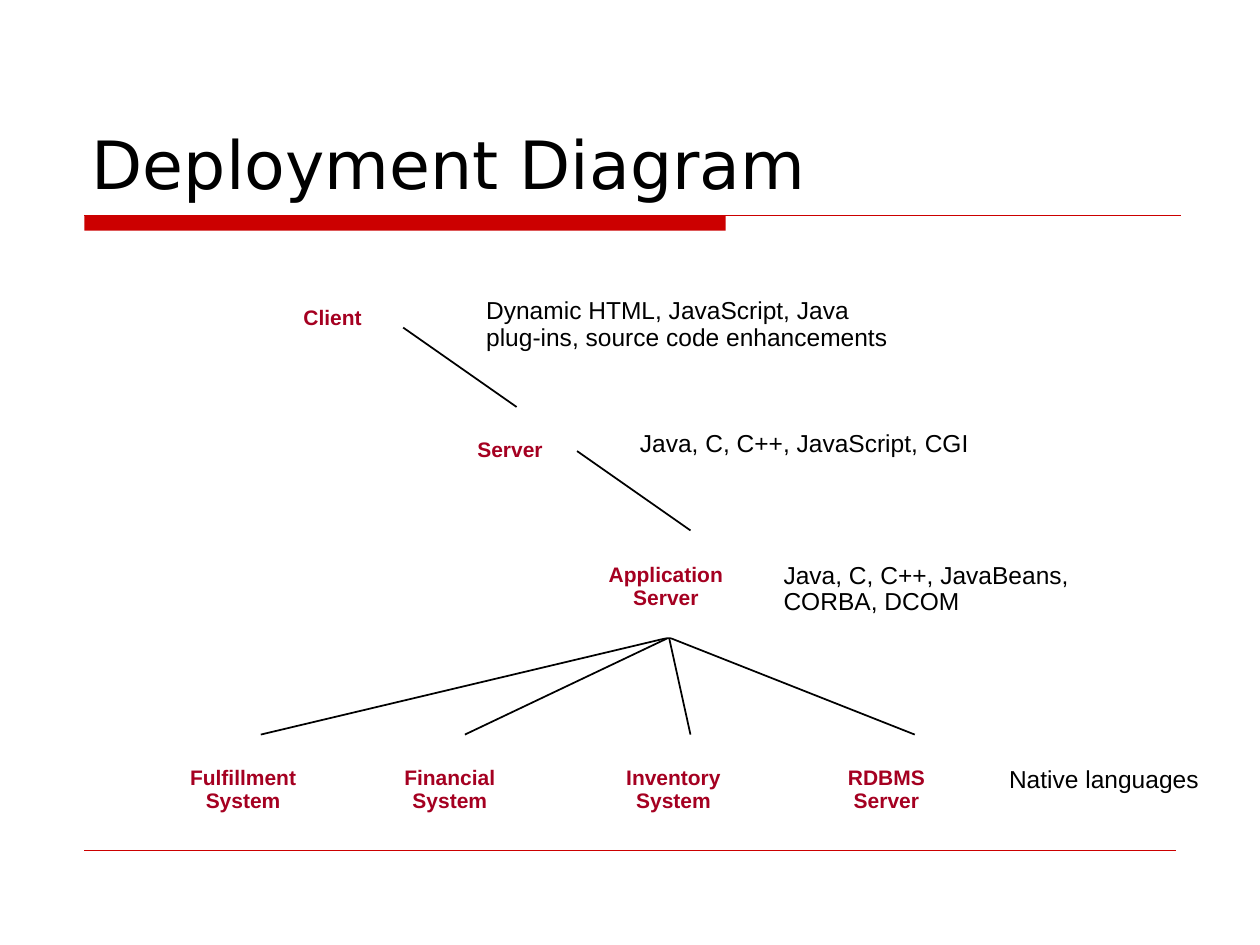
from pptx import Presentation
from pptx.dml.color import RGBColor as RGB
from pptx.enum.shapes import MSO_CONNECTOR as LINK, MSO_SHAPE as SHAPE
from pptx.enum.text import MSO_ANCHOR as ANCHOR, MSO_AUTO_SIZE as FIT, PP_ALIGN as ALIGN
from pptx.oxml.ns import qn
from pptx.util import Inches, Pt

HUES = {"red": "CC0000", "wine": "A50021", "ink": "000000", "paper": "FFFFFF"}
STYLES = {
    "title": {"size": Pt(38), "name": "DejaVu Sans", "bold": False},
    "node": {"size": Pt(12), "name": "Arial", "bold": True},
    "note": {"size": Pt(14), "name": "Arial", "bold": False},
}
CARD_W, CARD_H, ROW_Y = 0.97, 0.77, 5.9

# Node: card left, card top, label shift from the card, label width, lines
NODES = [
    (2.15, 2.25, 0.16, 0.66, ["Client"]),
    (3.53, 3.3, 0.16, 0.72, ["Server"]),
    (4.83, 4.29, -0.1, 1.11, ["Application", "Server"]),
    (1.42, ROW_Y, -0.01, 1.04, ["Fulfillment", "System"]),
    (3.12, ROW_Y, -0.01, 0.92, ["Financial", "System"]),
    (4.91, ROW_Y, -0.04, 0.95, ["Inventory", "System"]),
    (6.61, ROW_Y, 0.02, 0.81, ["RDBMS", "Server"]),
]
# Note: left, top, width, lines
NOTES = [
    (3.76, 2.32, 3.39, ["Dynamic HTML, JavaScript, Java", "plug-ins, source code enhancements"]),
    (4.98, 3.37, 2.81, ["Java, C, C++, JavaScript, CGI"]),
    (6.12, 4.42, 2.52, ["Java, C, C++, JavaBeans,", "CORBA, DCOM"]),
    (7.91, 6.04, 1.71, ["Native languages"]),
]
HUB = (3.16, 2.81)
LEAVES = [-0.08, 1.54, 3.33, 5.11]


def add_line(slide, start, end, hue, width):
    points = [Inches(v) for v in (*start, *end)]
    line = slide.shapes.add_connector(LINK.STRAIGHT, *points)
    line.line.color.rgb = RGB.from_string(HUES[hue])
    line.line.width = Pt(width)
    props = line._element.spPr
    props.append(props.makeelement(qn("a:effectLst"), {}))


def add_rect(slide, x, y, w, h, hue):
    rect = slide.shapes.add_shape(SHAPE.RECTANGLE, *map(Inches, (x, y, w, h)))
    rect.shadow.inherit = False
    rect.fill.solid()
    rect.fill.fore_color.rgb = RGB.from_string(HUES[hue])
    rect.line.fill.background()


def add_text(slide, box, lines, style, hue, align=ALIGN.LEFT, pitch=0.9):
    frame = slide.shapes.add_textbox(*map(Inches, box)).text_frame
    frame.word_wrap = False
    frame.auto_size = FIT.SHAPE_TO_FIT_TEXT
    frame.text = "\n".join(lines)
    for para in frame.paragraphs:
        para.alignment = align
        para.line_spacing = pitch
        for key, value in STYLES[style].items():
            setattr(para.font, key, value)
        para.font.color.rgb = RGB.from_string(HUES[hue])
    return frame


def add_head(slide, x, y, w, h):
    # Title above a thick and thin red rule
    frame = add_text(slide, (x, y, w, h), ["Deployment Diagram"], "title", "ink", pitch=1.0)
    frame.auto_size = FIT.NONE
    frame.word_wrap = True
    frame.vertical_anchor = ANCHOR.BOTTOM
    left, top = x + 0.04, y + h + 0.05
    add_rect(slide, left, top, 5.09, 0.12, "red")
    add_line(slide, (left, top), (left + 8.7, top), "red", 0.75)


def add_foot(slide, x, y, w):
    add_line(slide, (x, y), (x + w, y), "red", 0.25)


def add_node(slide, x, y, shift, width, lines):
    add_rect(slide, x, y, CARD_W, CARD_H, "paper")
    align = ALIGN.CENTER if len(lines) > 1 else ALIGN.LEFT
    box = (x + shift, y + 0.14, width, 0.1 + 0.18 * len(lines))
    add_text(slide, box, lines, "node", "wine", align)


def add_tree(slide, x, y):
    # Links from tier to tier
    for dx, dy in ((1.05, 0.35), (2.43, 1.33)):
        add_line(slide, (x + dx, y + dy), (x + dx + 0.9, y + dy + 0.63), "ink", 1)
    # Fan from the application server
    for leaf in LEAVES:
        add_line(slide, (x + leaf, y + 3.58), (x + HUB[0], y + HUB[1]), "ink", 1)
    # Nodes and the languages they use
    for left, top, *rest in NODES:
        add_node(slide, x + left - 2.15, y + top - 2.25, *rest)
    for left, top, width, lines in NOTES:
        box = (x + left - 2.15, y + top - 2.25, width, 0.1 + 0.21 * len(lines))
        add_text(slide, box, lines, "note", "ink")


def main():
    deck = Presentation()
    deck.slide_width, deck.slide_height = Inches(10), Inches(7.5)
    slide = deck.slides.add_slide(deck.slide_layouts[6])
    add_head(slide, 0.63, 0.33, 8.75, 1.33)
    add_foot(slide, 0.67, 6.75, 8.66)
    add_tree(slide, 2.15, 2.25)
    deck.save("out.pptx")


if __name__ == "__main__":
    main()
